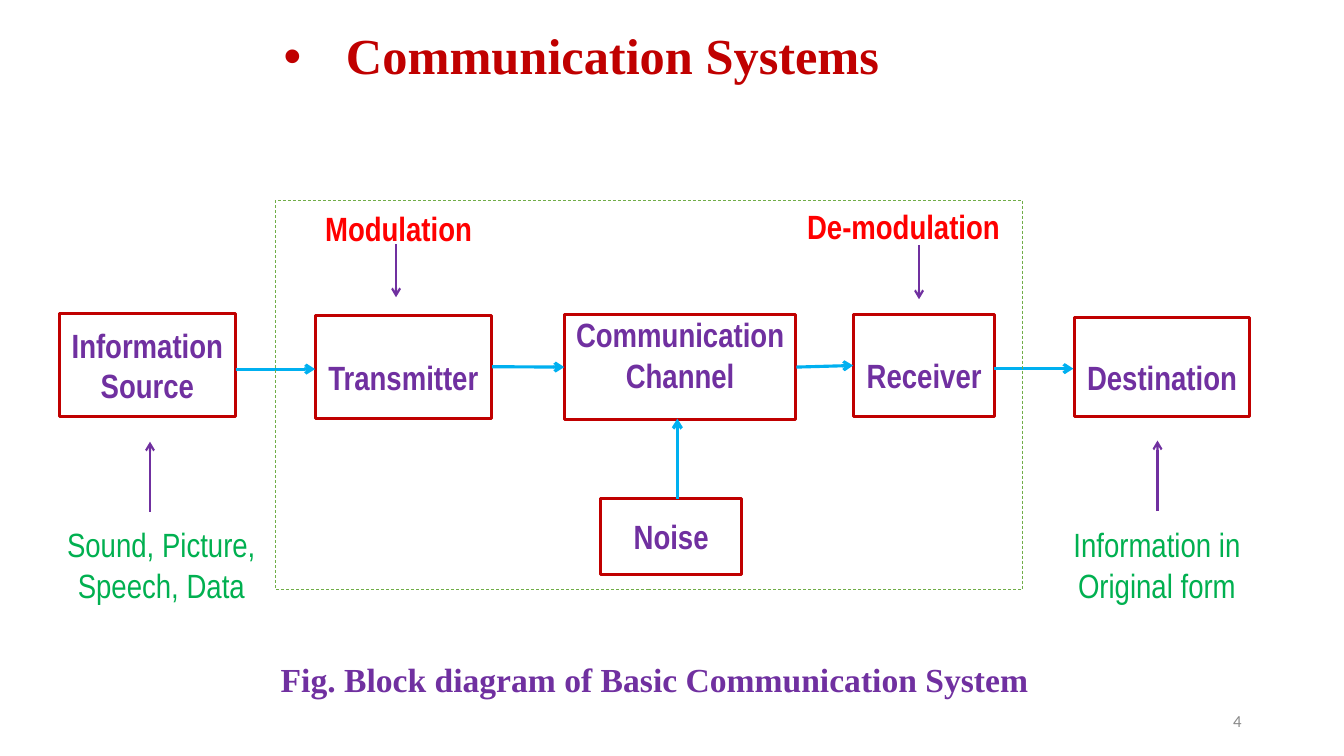
from dataclasses import dataclass

from lxml.etree import SubElement
from pptx import Presentation
from pptx.dml.color import RGBColor
from pptx.enum.dml import MSO_LINE
from pptx.enum.shapes import MSO_CONNECTOR, MSO_SHAPE
from pptx.enum.text import MSO_ANCHOR, PP_ALIGN
from pptx.oxml.ns import qn
from pptx.shapes.autoshape import Shape
from pptx.slide import Slide
from pptx.util import Cm, Pt

COLOURS = {
    "white": "FFFFFF",
    "dark red": "C00000",
    "red": "FF0000",
    "purple": "7030A0",
    "blue": "00B0F0",
    "green": "00B050",
    "frame green": "70AD47",
    "grey": "898989",
}
NARROW = "Arial Narrow"
SERIF = "Times New Roman"


@dataclass
class Style:
    colour: str
    name: str = NARROW
    size: float = 24
    bold: bool = True
    align: PP_ALIGN = PP_ALIGN.CENTER
    anchor: MSO_ANCHOR = MSO_ANCHOR.TOP
    spacing: float = 1.0
    side_inset: float = 0
    top_inset: float = 0.13


@dataclass
class Item:
    """Text lines in a rectangle given in centimetres."""
    lines: list[str]
    left: float
    top: float
    width: float
    height: float
    style: Style


@dataclass
class Arrow:
    start: tuple[float, float]
    end: tuple[float, float]


TITLE = Style("dark red", SERIF, 36, anchor=MSO_ANCHOR.BOTTOM, spacing=0.9,
              side_inset=0.25)
NUMBER = Style("grey", "Calibri", 12, False, PP_ALIGN.RIGHT, MSO_ANCHOR.MIDDLE,
               side_inset=0.25)
CAPTION = Style("purple", SERIF)
PROCESS = Style("red")
EXAMPLE = Style("green", bold=False)
BLOCK = Style("purple", anchor=MSO_ANCHOR.MIDDLE)
LOW_BLOCK = Style("purple", anchor=MSO_ANCHOR.MIDDLE, spacing=1.5)
TOP_BLOCK = Style("purple", top_inset=0)

HEADING = Item(["Communication Systems"], 4.24, 0.69, 20.83, 1.6, TITLE)
BLOCKS = [
    Item(["Information", "Source"], 1.5, 7.9, 4.43, 2.59, BLOCK),
    Item(["Transmitter"], 7.95, 7.95, 4.43, 2.59, LOW_BLOCK),
    Item(["Communication Channel"], 14.22, 7.92, 5.84, 2.65, TOP_BLOCK),
    Item(["Receiver"], 21.51, 7.92, 3.56, 2.57, LOW_BLOCK),
    Item(["Destination"], 27.08, 8, 4.41, 2.49, LOW_BLOCK),
    Item(["Noise"], 15.14, 12.56, 3.55, 1.91, BLOCK),
]
LABELS = [
    Item(["Modulation"], 7.95, 5.11, 4.19, 1.14, PROCESS),
    Item(["De-modulation"], 20.17, 5.07, 5.2, 1.07, PROCESS),
    Item(["Sound, Picture,", "Speech, Data"], 1.5, 13.08, 5.13, 2.26, EXAMPLE),
    Item(["Information in", "Original form"], 26.83, 13.08, 4.65, 2.26, EXAMPLE),
    Item(["Fig. Block diagram of Basic Communication System"],
         6.93, 16.47, 19.13, 1.3, CAPTION),
    Item(["4"], 23.92, 17.65, 7.62, 1.02, NUMBER),
]
SIGNAL_ARROWS = [
    Arrow((5.94, 9.3), (7.94, 9.3)),
    Arrow((12.4, 9.24), (14.22, 9.25)),
    Arrow((20.07, 9.25), (21.5, 9.21)),
    Arrow((25.04, 9.29), (27.05, 9.29)),
    Arrow((17.07, 12.57), (17.07, 10.55)),
]
LABEL_ARROWS = [
    Arrow((9.98, 6.15), (9.98, 7.49)),
    Arrow((23.16, 6.17), (23.16, 7.54)),
    Arrow((3.78, 12.9), (3.78, 11.13)),
    Arrow((29.17, 12.88), (29.17, 11.1)),
]


def colour_of(name: str) -> RGBColor:
    return RGBColor.from_string(COLOURS[name])


def write_lines(box: Shape, lines: list[str], style: Style) -> None:
    frame = box.text_frame
    layout = {
        "word_wrap": True,
        "vertical_anchor": style.anchor,
        "margin_left": Cm(style.side_inset),
        "margin_right": Cm(style.side_inset),
        "margin_top": Cm(style.top_inset),
    }
    for key, value in layout.items():
        setattr(frame, key, value)
    for index, line in enumerate(lines):
        para = frame.add_paragraph() if index else frame.paragraphs[0]
        para.alignment = style.align
        para.line_spacing = style.spacing
        span = para.add_run()
        span.text = line
        formats = {"name": style.name, "size": Pt(style.size), "bold": style.bold}
        for key, value in formats.items():
            setattr(span.font, key, value)
        span.font.color.rgb = colour_of(style.colour)


def add_label(page: Slide, item: Item) -> Shape:
    box = page.shapes.add_textbox(
        Cm(item.left), Cm(item.top), Cm(item.width), Cm(item.height))
    write_lines(box, item.lines, item.style)
    return box


def add_title(page: Slide, item: Item) -> None:
    """Add the heading with its hanging bullet."""
    para = add_label(page, item).text_frame.paragraphs[0]
    properties = para._p.get_or_add_pPr()
    properties.set("marL", str(Cm(1.57)))
    properties.set("indent", str(-Cm(1.57)))
    SubElement(properties, qn("a:buFont")).set("typeface", "Arial")
    SubElement(properties, qn("a:buChar")).set("char", "•")


def add_rectangle(page: Slide, left: float, top: float, width: float, height: float,
                  line_colour: str, line_width: float) -> Shape:
    box = page.shapes.add_shape(
        MSO_SHAPE.RECTANGLE, Cm(left), Cm(top), Cm(width), Cm(height))
    box.shadow.inherit = False
    box.line.color.rgb = colour_of(line_colour)
    box.line.width = Pt(line_width)
    return box


def add_block(page: Slide, item: Item) -> None:
    box = add_rectangle(page, item.left, item.top, item.width, item.height,
                        "dark red", 2.25)
    box.fill.solid()
    box.fill.fore_color.rgb = colour_of("white")
    write_lines(box, item.lines, item.style)


def add_arrow(page: Slide, arrow: Arrow, colour: str, width: float) -> None:
    ends = [Cm(value) for value in (*arrow.start, *arrow.end)]
    connector = page.shapes.add_connector(MSO_CONNECTOR.STRAIGHT, *ends)
    connector.line.color.rgb = colour_of(colour)
    connector.line.width = Pt(width)
    SubElement(connector.line._get_or_add_ln(), qn("a:tailEnd")).set("type", "arrow")
    SubElement(connector._element.spPr, qn("a:effectLst"))


def main() -> None:
    deck = Presentation()
    deck.slide_width, deck.slide_height = Cm(33.87), Cm(19.05)
    page = deck.slides.add_slide(deck.slide_layouts[6])
    add_title(page, HEADING)
    for block in BLOCKS:
        add_block(page, block)
    for label in LABELS:
        add_label(page, label)
    for arrow in SIGNAL_ARROWS:
        add_arrow(page, arrow, "blue", 2.25)
    for arrow in LABEL_ARROWS:
        add_arrow(page, arrow, "purple", 1.5)
    system_frame = add_rectangle(page, 6.94, 5.05, 18.83, 9.8, "frame green", 0.5)
    system_frame.fill.background()
    system_frame.line.dash_style = MSO_LINE.DASH
    deck.save("out.pptx")


if __name__ == "__main__":
    main()
